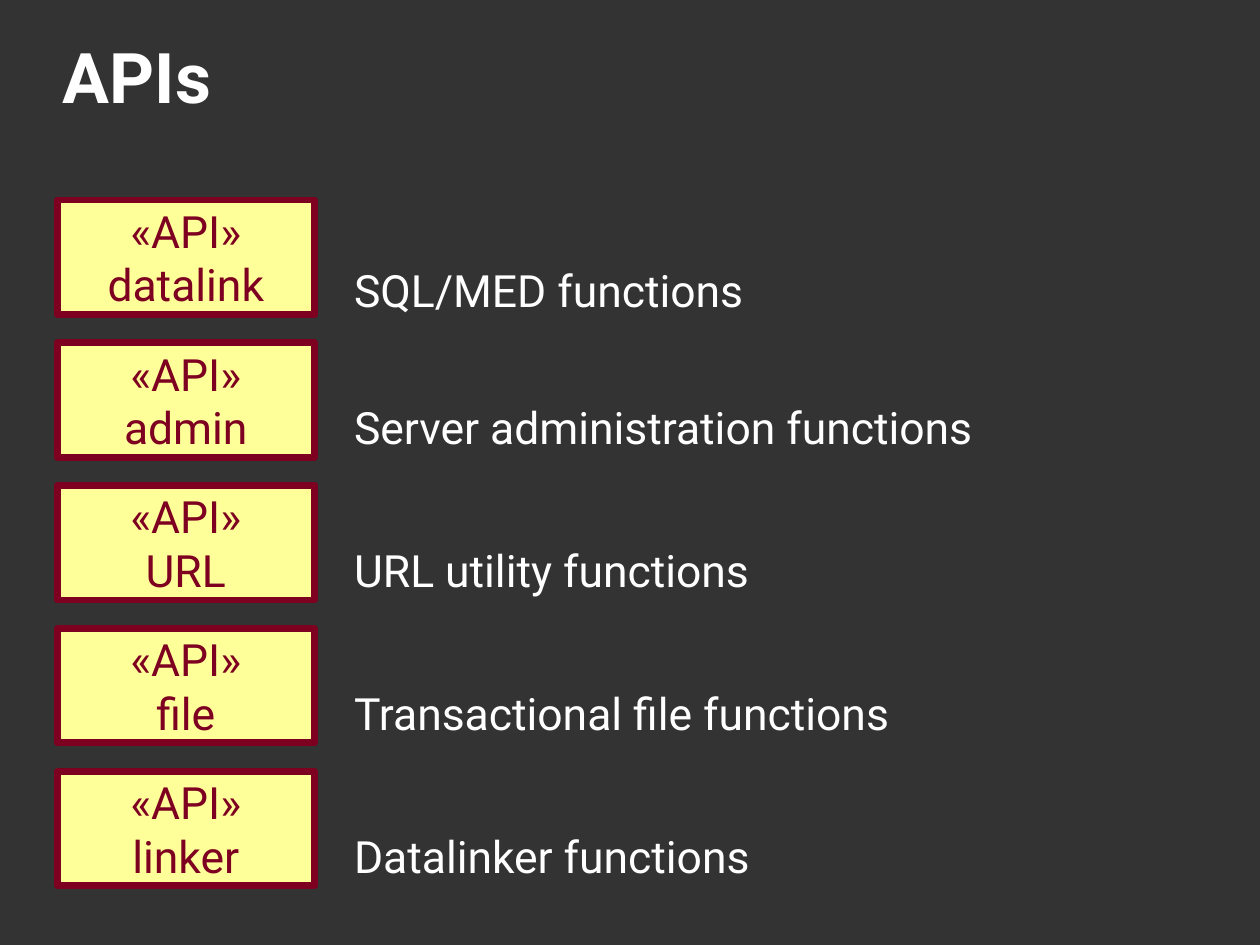
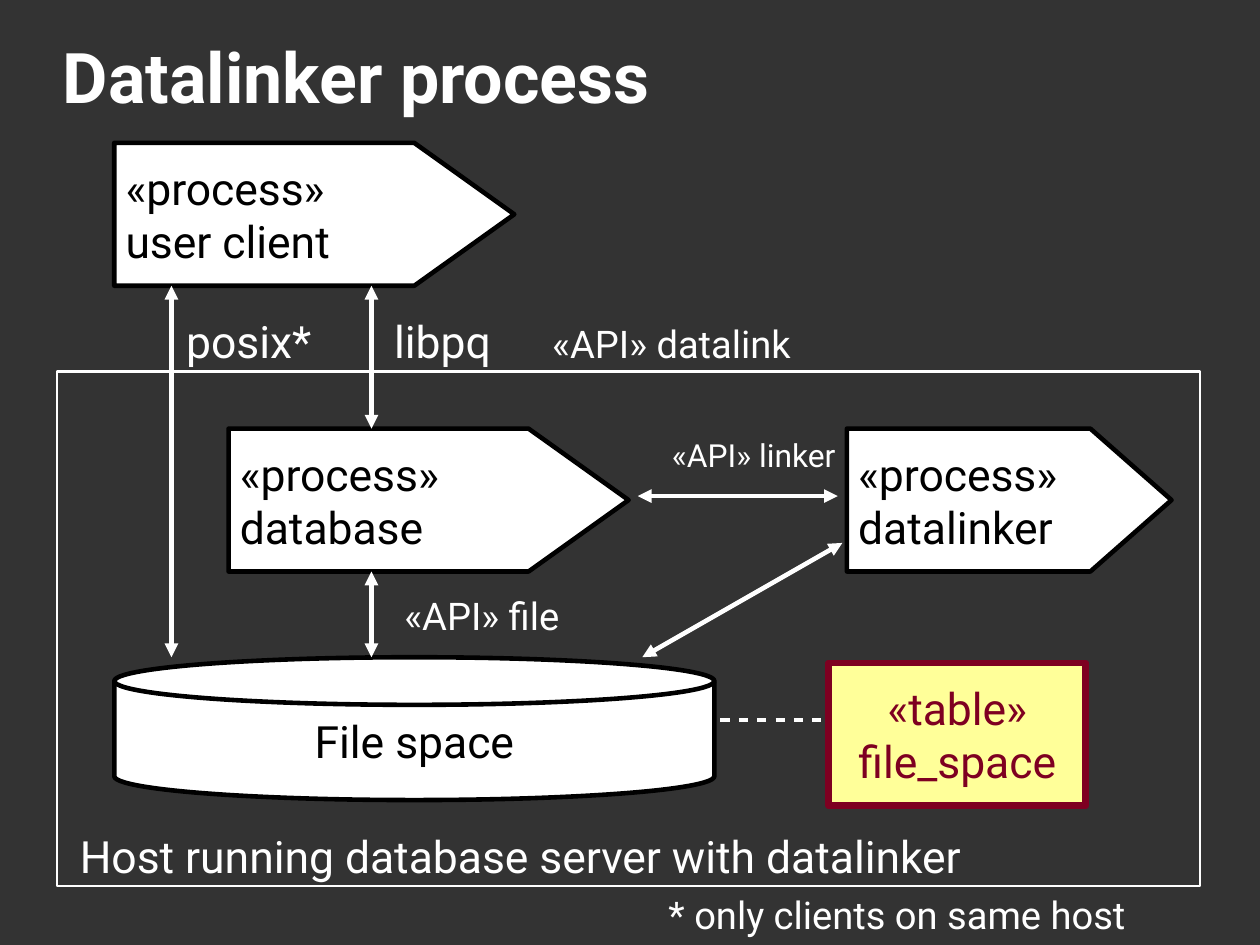
from pptx import Presentation
from pptx.dml.color import RGBColor
from pptx.enum.shapes import MSO_CONNECTOR, MSO_SHAPE
from pptx.enum.text import MSO_ANCHOR, PP_ALIGN
from pptx.oxml.ns import qn
from pptx.util import Cm, Inches, Pt
from lxml.etree import SubElement

CHARCOAL = RGBColor(0x33, 0x33, 0x33)
WHITE = RGBColor(0xFF, 0xFF, 0xFF)
BLACK = RGBColor(0, 0, 0)
YELLOW = RGBColor(0xFF, 0xFF, 0x99)
MAROON = RGBColor(0x7E, 0x00, 0x21)
FONT = "Roboto"
NO_INSETS = (0, 0, 0, 0)
NARROW_INSETS = (0.1, 0.05, 0.1, 0.05)
WIDE_INSETS = (0.13, 0.08, 0.13, 0.08)

# Shared looks of the diagram parts
BOX = {"fill": YELLOW, "line": MAROON, "weight": 4.31, "insets": WIDE_INSETS,
       "align": PP_ALIGN.CENTER}
PROCESS = {"fill": WHITE, "line": BLACK, "weight": 2.89, "insets": NARROW_INSETS,
           "align": PP_ALIGN.LEFT}
STORE = {**PROCESS, "align": PP_ALIGN.CENTER}
HOST = {**STORE, "fill": None, "line": WHITE, "weight": 1.45}


def write(frame, text, color=WHITE, size=28, bold=False, align=PP_ALIGN.LEFT,
          anchor=MSO_ANCHOR.TOP, insets=NARROW_INSETS):
    frame.text = text
    frame.word_wrap = True
    frame.vertical_anchor = anchor
    for side, inset in zip(("left", "top", "right", "bottom"), insets):
        setattr(frame, f"margin_{side}", Inches(inset))
    font_format = {"name": FONT, "size": Pt(size), "bold": bold}
    for paragraph in frame.paragraphs:
        paragraph.alignment = align
        for key, value in font_format.items():
            setattr(paragraph.font, key, value)
        paragraph.font.color.rgb = color


def draw(slide, preset, place, look, text=""):
    shape = slide.shapes.add_shape(preset, *map(Inches, place))
    shape.shadow.inherit = False
    if look["fill"] is None:
        shape.fill.background()
    else:
        shape.fill.solid()
        shape.fill.fore_color.rgb = look["fill"]
    shape.line.color.rgb = look["line"]
    shape.line.width = Pt(look["weight"])
    if text:
        write(shape.text_frame, text, look["line"], align=look["align"],
              anchor=MSO_ANCHOR.MIDDLE, insets=look["insets"])
    return shape


# The page is 28 by 21 cm, which is 11.02 by 8.27 inches
prs = Presentation()
prs.slide_width, prs.slide_height = Cm(28), Cm(21)

# Background and title of both slides
slides = []
for heading in ("APIs", "Datalinker process"):
    slide = prs.slides.add_slide(prs.slide_layouts[6])
    slide.background.fill.solid()
    slide.background.fill.fore_color.rgb = CHARCOAL
    title = slide.shapes.add_textbox(*map(Inches, (0.55, 0.31, 9.92, 0.71)))
    write(title.text_frame, heading, size=44, bold=True,
          anchor=MSO_ANCHOR.MIDDLE, insets=NO_INSETS)
    slides.append(slide)
apis, process = slides

# APIs: one box and one description per row
api_rows = [
    ("datalink", "SQL/MED functions", 0.5),
    ("admin", "Server administration functions", 0.45),
    ("URL", "URL utility functions", 0.45),
    ("file", "Transactional file functions", 0.45),
    ("linker", "Datalinker functions", 0.45),
]
for row, (api, purpose, drop) in enumerate(api_rows):
    top = 1.75 + 1.25 * row
    draw(apis, MSO_SHAPE.RECTANGLE, (0.5, top, 2.25, 1), BOX, f"«API»\n{api}")
    description = apis.shapes.add_textbox(*map(Inches, (3, top + drop, 7, 0.55)))
    write(description.text_frame, purpose)

# Datalinker process: host frame, file space and its table
draw(process, MSO_SHAPE.RECTANGLE, (0.5, 3.25, 10, 4.5), HOST)
draw(process, MSO_SHAPE.FLOWCHART_MAGNETIC_DISK, (1, 5.75, 5.25, 1.25), STORE,
     "File space")
draw(process, MSO_SHAPE.RECTANGLE, (7.25, 5.8, 2.25, 1.25), BOX,
     "«table»\nfile_space")

# Processes: the point takes a quarter of the width
process_height = 1.25
for name, left, top, width in [("user client", 1, 1.25, 3.5),
                               ("database", 2, 3.75, 3.5),
                               ("datalinker", 7.41, 3.75, 2.84)]:
    pentagon = draw(process, MSO_SHAPE.PENTAGON, (left, top, width, process_height),
                    PROCESS, f"«process»\n{name}")
    pentagon.adjustments[0] = width / 4 / process_height

# Two-way arrows, and a dashed link from file space to table
for ends, dashed in [
    ((3.25, 2.5, 3.25, 3.75), False),
    ((3.25, 5, 3.25, 5.75), False),
    ((7.37, 4.75, 5.62, 5.75), False),
    ((1.5, 2.5, 1.5, 5.75), False),
    ((7.33, 4.34, 5.58, 4.34), False),
    ((5.5, 6.3, 7.25, 6.3), True),
]:
    link = process.shapes.add_connector(MSO_CONNECTOR.STRAIGHT, *map(Inches, ends))
    link.line.color.rgb = WHITE
    link.line.width = Pt(2.89)
    outline = link._element.spPr.find(qn("a:ln"))
    if dashed:
        # Dash and gap are each twice the line width
        pattern = SubElement(outline, qn("a:custDash"))
        SubElement(pattern, qn("a:ds"), d="200000", sp="200000")
    else:
        for end in ("a:headEnd", "a:tailEnd"):
            SubElement(outline, qn(end), type="triangle")
    SubElement(link._element.spPr, qn("a:effectLst"))

# Labels
for text, place, size, align in [
    ("Host running database server with datalinker", (0.6, 7.2, 8.9, 0.55), 28, PP_ALIGN.LEFT),
    ("posix*", (1.53, 2.7, 1.42, 0.55), 28, PP_ALIGN.LEFT),
    ("libpq", (3.35, 2.7, 1.15, 0.55), 28, PP_ALIGN.LEFT),
    ("* only clients on same host", (5.75, 7.75, 4.73, 0.49), 24, PP_ALIGN.LEFT),
    ("«API» file", (3.34, 5.13, 1.75, 0.49), 24, PP_ALIGN.CENTER),
    ("«API» datalink", (4.5, 2.75, 2.75, 0.49), 24, PP_ALIGN.CENTER),
    ("«API» linker", (5.47, 3.76, 2.25, 0.42), 20, PP_ALIGN.CENTER),
]:
    label = process.shapes.add_textbox(*map(Inches, place))
    write(label.text_frame, text, size=size, align=align)

prs.save("out.pptx")
